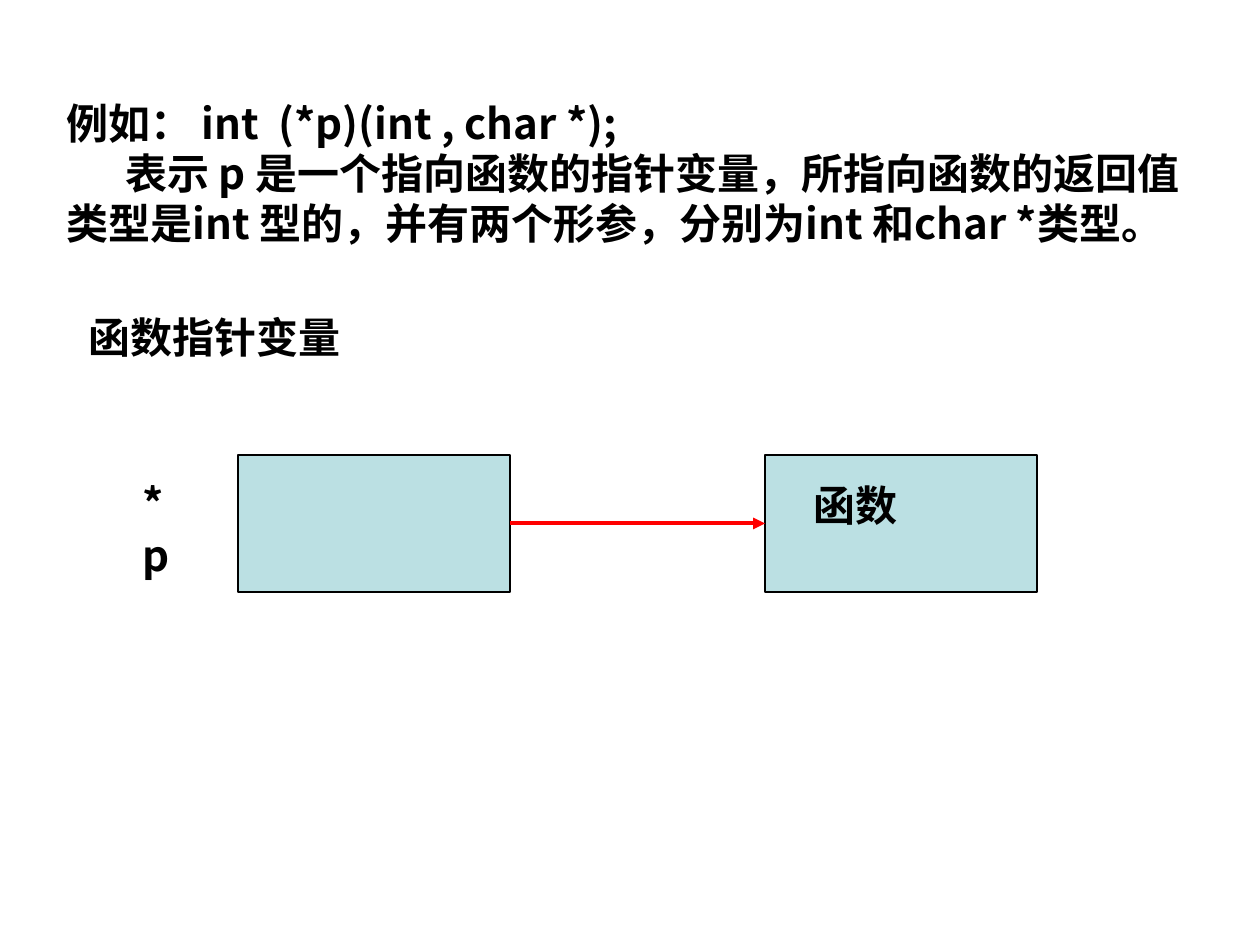
from lxml import etree
from pptx import Presentation
from pptx import util as u
from pptx.dml.color import RGBColor
from pptx.enum import shapes, text
from pptx.oxml.ns import qn

PX = u.Inches(1) // 126
THEME = {
    "font": "Noto Sans CJK SC",
    "size": u.Pt(24),
    "ink": RGBColor(0, 0, 0),
    "box": RGBColor(0xBB, 0xE0, 0xE3),
    "arrow": RGBColor(0xFF, 0, 0),
    "outline": u.Pt(0.75),
    "arrow_width": u.Pt(2.25),
}


def set_values(target, values):
    for name, value in values.items():
        setattr(target, name, value)


def add_text(slide, bounds, lines, wrap=True, spacing=28.8):
    box = slide.shapes.add_textbox(*(value * PX for value in bounds))
    frame = box.text_frame
    set_values(frame, {"word_wrap": wrap, "auto_size": text.MSO_AUTO_SIZE.SHAPE_TO_FIT_TEXT})
    for index, (words, indent) in enumerate(lines):
        paragraph = frame.paragraphs[0] if index == 0 else frame.add_paragraph()
        paragraph.line_spacing = u.Pt(spacing)
        if indent:
            paragraph._p.get_or_add_pPr().set("indent", str(indent * PX))
        run = paragraph.add_run()
        run.text = words
        set_values(run.font, {"name": THEME["font"], "size": THEME["size"], "bold": True})
        run.font.color.rgb = THEME["ink"]
        east_asian = etree.SubElement(run.font._element, qn("a:ea"))
        east_asian.set("typeface", THEME["font"])


presentation = Presentation()
set_values(presentation, {"slide_width": 1260 * PX, "slide_height": 945 * PX})
slide = presentation.slides.add_slide(presentation.slide_layouts[6])

add_text(slide, (54, 91, 1160, 214), [
    ("例如： int  (*p)(int , char *);", 0),
    ("表示 p 是一个指向函数的指针变量，所指向函数的返回值类型是int 型的，并有两个形参，分别为int 和char *类型。", 59),
])

boxes = []
for left in (238, 765):
    box = slide.shapes.add_shape(
        shapes.MSO_SHAPE.RECTANGLE, left * PX, 455 * PX, 272 * PX, 137 * PX)
    box.shadow.inherit = False
    box.fill.solid()
    box.fill.fore_color.rgb = THEME["box"]
    box.line.color.rgb = THEME["ink"]
    box.line.width = THEME["outline"]
    boxes.append(box)
pointer_box, function_box = boxes

add_text(slide, (801, 473, 200, 63), [("函数", 0)])

arrow = slide.shapes.add_connector(shapes.MSO_CONNECTOR.STRAIGHT, 0, 0, 0, 0)
arrow.begin_connect(pointer_box, 3)
arrow.end_connect(function_box, 1)
arrow.line.color.rgb = THEME["arrow"]
arrow.line.width = THEME["arrow_width"]
etree.SubElement(arrow.line._get_or_add_ln(), qn("a:tailEnd")).set("type", "triangle")
etree.SubElement(arrow._element.spPr, qn("a:effectLst"))

add_text(slide, (76, 305, 277, 63), [("函数指针变量", 0)], wrap=False)
add_text(slide, (130, 469, 69, 113), [("*p", 0)], spacing=30)

presentation.save("out.pptx")
